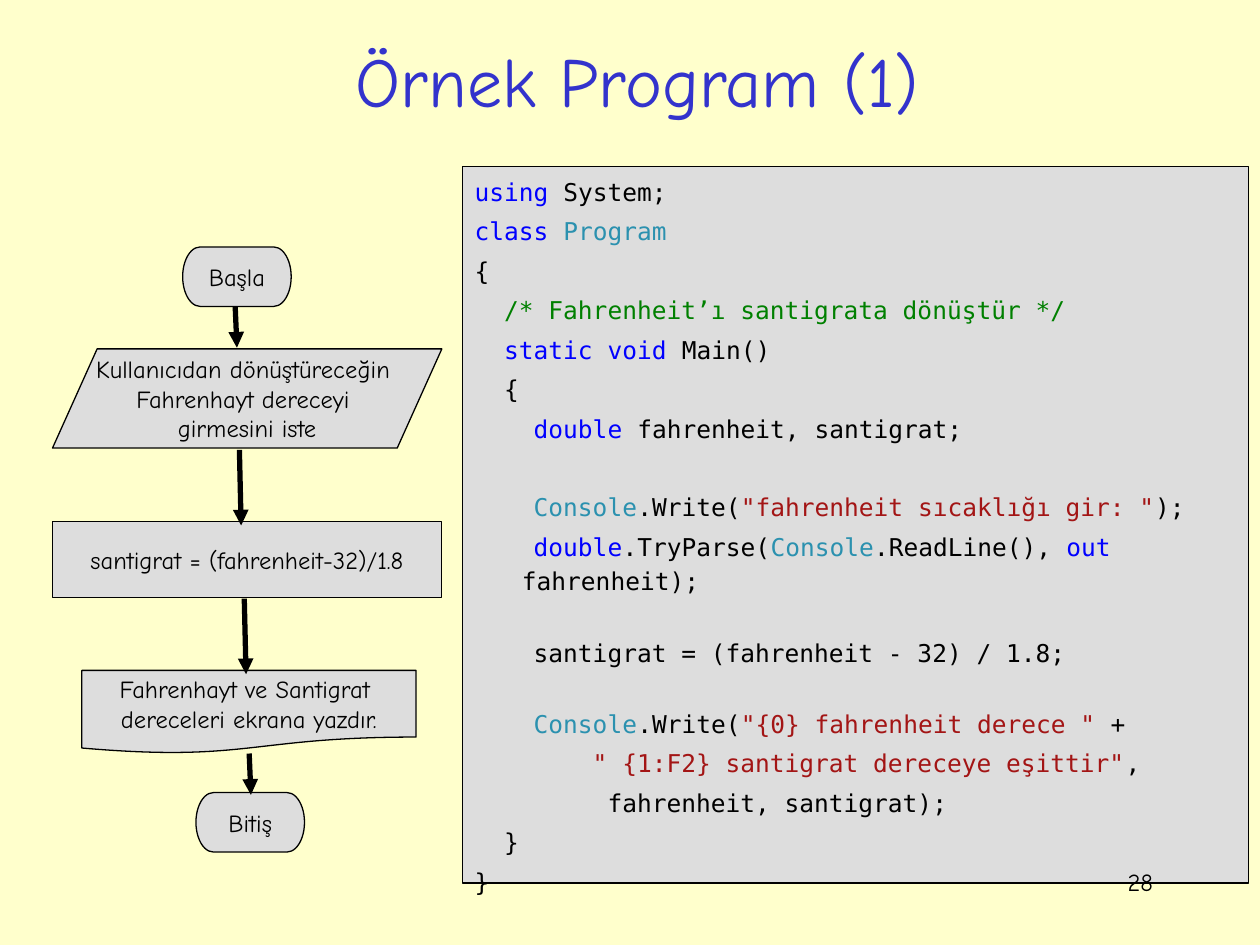
from lxml import etree
from pptx import Presentation
from pptx.dml.color import RGBColor
from pptx.enum.shapes import MSO_CONNECTOR, MSO_SHAPE
from pptx.enum.text import MSO_ANCHOR, PP_ALIGN
from pptx.oxml.ns import qn
from pptx.util import Pt

CREAM = RGBColor(0xFF, 0xFF, 0xCC)
GREY = RGBColor(0xDD, 0xDD, 0xDD)
BLACK = RGBColor(0, 0, 0)
TITLE_BLUE = RGBColor(0x33, 0x33, 0xCC)
KEYWORD = RGBColor(0, 0, 0xFF)
TYPE = RGBColor(0x2B, 0x91, 0xAF)
COMMENT = RGBColor(0, 0x80, 0)
STRING = RGBColor(0xA3, 0x15, 0x15)

BODY_FONT = "Comic Neue"
CODE_FONT = "DejaVu Sans Mono"
LINE_GAP = 3.3
HANGING = Pt(27)

# Each line: space before it, then its coloured pieces.
CODE = [
    (0, [("using", KEYWORD), (" System;", BLACK)]),
    (LINE_GAP, [("class ", KEYWORD), ("Program", TYPE)]),
    (LINE_GAP, [("{", BLACK)]),
    (LINE_GAP, [("  /* Fahrenheit’ı santigrata dönüştür */", COMMENT)]),
    (LINE_GAP, [("  static void", KEYWORD), (" Main()", BLACK)]),
    (LINE_GAP, [("  {", BLACK)]),
    (LINE_GAP, [("    double ", KEYWORD), ("fahrenheit, santigrat;", BLACK)]),
    (25.4, [("    Console", TYPE), (".Write(", BLACK),
            ('"fahrenheit sıcaklığı gir: "', STRING), (");", BLACK)]),
    (LINE_GAP, [("    double", KEYWORD), (".TryParse(", BLACK), ("Console", TYPE),
                (".ReadLine(), ", BLACK), ("out ", KEYWORD), ("fahrenheit);", BLACK)]),
    (22.2, [("    santigrat = (fahrenheit - 32) / 1.8;", BLACK)]),
    (20.9, [("    Console", TYPE), (".Write(", BLACK),
            ('"{0} fahrenheit derece "', STRING), (" +", BLACK)]),
    (LINE_GAP, [('        " {1:F2} santigrat dereceye eşittir"', STRING), (",", BLACK)]),
    (LINE_GAP, [("         fahrenheit, santigrat);", BLACK)]),
    (LINE_GAP, [("  }", BLACK)]),
    (LINE_GAP, [("}", BLACK)]),
]

# Each step: outline, left, top, width, height, text.
STEPS = [
    (MSO_SHAPE.FLOWCHART_TERMINATOR, 74.4, 0, 62, 34, "Başla"),
    (MSO_SHAPE.PARALLELOGRAM, 0, 58.3, 222.5, 56.7,
     "Kullanıcıdan dönüştüreceğin \nFahrenhayt dereceyi \vgirmesini iste"),
    (MSO_SHAPE.RECTANGLE, 0, 157, 222.5, 43.2, "santigrat = (fahrenheit-32)/1.8"),
    (MSO_SHAPE.FLOWCHART_DOCUMENT, 16.8, 242, 191, 47.5,
     "Fahrenhayt ve Santigrat \ndereceleri ekrana yazdır."),
    (MSO_SHAPE.FLOWCHART_TERMINATOR, 82, 311.8, 62, 34, "Bitiş"),
]

# Each arrow: x at its tail, y at its tail, length.
ARROWS = [(104.4, 34, 23.6), (106.8, 116, 43.2), (109.6, 201, 43.2), (112.4, 289.5, 23.6)]


def format_text(frame, size, colour, alignment):
    for paragraph in frame.paragraphs:
        paragraph.alignment = alignment
        for run in paragraph.runs:
            run.font.name = BODY_FONT
            run.font.size = Pt(size)
            run.font.color.rgb = colour


def add_label(slide, text, left, top, width, height, size, colour, alignment, anchor):
    frame = slide.shapes.add_textbox(Pt(left), Pt(top), Pt(width), Pt(height)).text_frame
    frame.word_wrap = True
    frame.vertical_anchor = anchor
    frame.text = text
    format_text(frame, size, colour, alignment)


def add_panel(slide, outline, left, top, width, height):
    """Add a grey shape with a thin black outline."""
    panel = slide.shapes.add_shape(outline, Pt(left), Pt(top), Pt(width), Pt(height))
    panel.shadow.inherit = False
    panel.fill.solid()
    panel.fill.fore_color.rgb = GREY
    panel.line.color.rgb = BLACK
    panel.line.width = Pt(0.75)
    return panel


def add_arrow(slide, x, y, length):
    """Add a thick arrow that points down with a slight lean to the right."""
    arrow = slide.shapes.add_connector(
        MSO_CONNECTOR.STRAIGHT, Pt(x), Pt(y), Pt(x + 1), Pt(y + length))
    arrow.line.color.rgb = BLACK
    arrow.line.width = Pt(3)
    etree.SubElement(arrow.line._get_or_add_ln(), qn("a:tailEnd"), type="triangle")
    etree.SubElement(arrow._element.spPr, qn("a:effectLst"))


def add_flowchart(slide, left, top):
    for outline, x, y, width, height, text in STEPS:
        step = add_panel(slide, outline, left + x, top + y, width, height)
        if outline == MSO_SHAPE.PARALLELOGRAM:
            step.adjustments[0] = 0.45
        frame = step.text_frame
        frame.word_wrap = False
        frame.vertical_anchor = MSO_ANCHOR.MIDDLE
        frame.text = text
        format_text(frame, 14, BLACK, PP_ALIGN.CENTER)
    for x, y, length in ARROWS:
        add_arrow(slide, left + x, top + y, length)


def add_code(slide, left, top, width, height):
    frame = add_panel(slide, MSO_SHAPE.RECTANGLE, left, top, width, height).text_frame
    frame.word_wrap = True
    frame.vertical_anchor = MSO_ANCHOR.TOP
    for index, (gap, pieces) in enumerate(CODE):
        line = frame.add_paragraph() if index else frame.paragraphs[0]
        line.alignment = PP_ALIGN.LEFT
        line.line_spacing = 1.15
        line.space_before = Pt(gap)
        properties = line._p.get_or_add_pPr()
        properties.set("marL", str(HANGING))
        properties.set("indent", str(-HANGING))
        for text, colour in pieces:
            run = line.add_run()
            run.text = text
            run.font.name = CODE_FONT
            run.font.size = Pt(14)
            run.font.color.rgb = colour


def main():
    presentation = Presentation()
    presentation.slide_width = Pt(720)
    presentation.slide_height = Pt(540)
    slide = presentation.slides.add_slide(presentation.slide_layouts[6])
    slide.background.fill.solid()
    slide.background.fill.fore_color.rgb = CREAM
    add_label(slide, "Örnek Program (1)", 41.8, 18.7, 645, 53.3, 40, TITLE_BLUE,
              PP_ALIGN.CENTER, MSO_ANCHOR.MIDDLE)
    add_code(slide, 264.2, 95, 449.3, 409.7)
    add_flowchart(slide, 30, 141.1)
    add_label(slide, "28", 516.2, 491.8, 149.8, 36, 14, BLACK,
              PP_ALIGN.RIGHT, MSO_ANCHOR.TOP)
    presentation.save("out.pptx")


if __name__ == "__main__":
    main()
